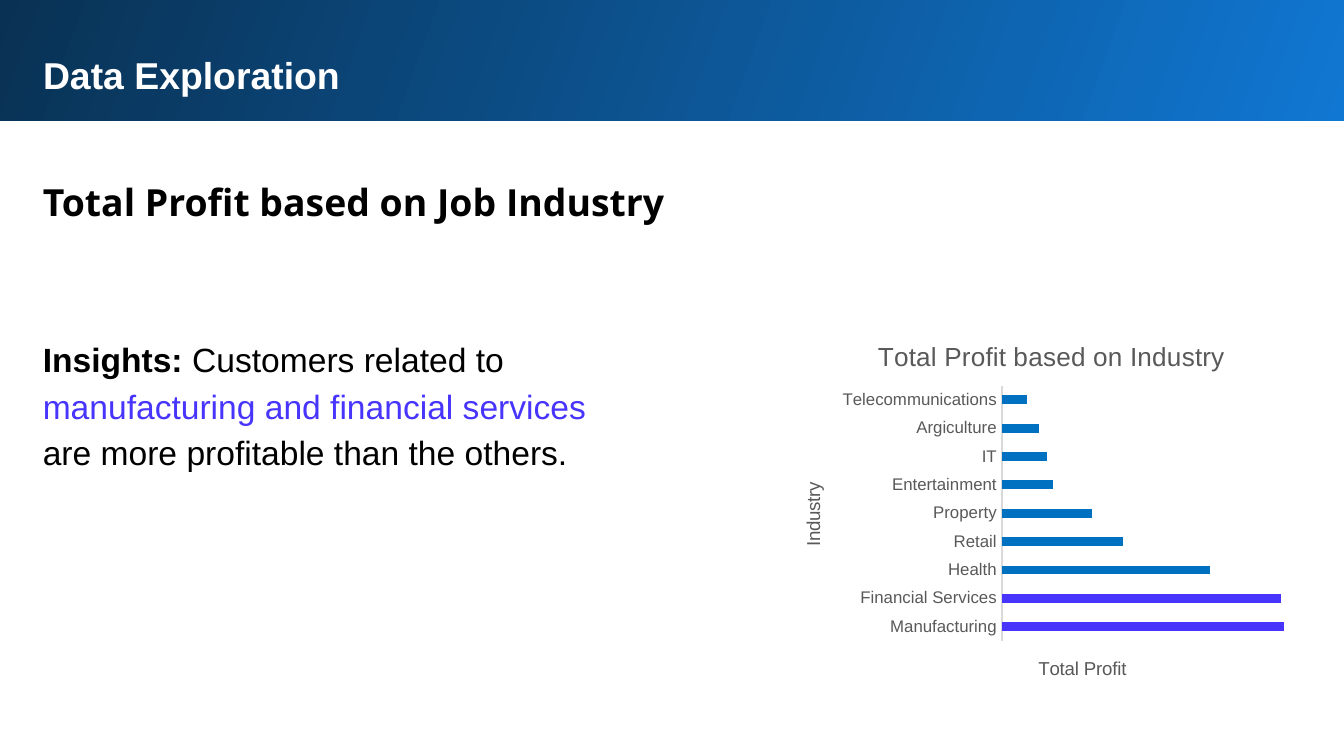
from lxml import etree
from pptx import Presentation
from pptx.chart.data import CategoryChartData
from pptx.dml.color import RGBColor
from pptx.enum.chart import XL_CHART_TYPE as ChartType, XL_TICK_MARK as TickMark
from pptx.enum.shapes import MSO_SHAPE as Shape
from pptx.enum.text import MSO_ANCHOR as Anchor, MSO_AUTO_SIZE as AutoSize, PP_ALIGN as Align
from pptx.oxml.ns import qn
from pptx.util import Inches, Pt

WIDTH = 10
HEIGHT = WIDTH * 9 / 16
LEFT = 0.22
WHITE = RGBColor(0xFF, 0xFF, 0xFF)
BLACK = RGBColor(0, 0, 0)
GREY = RGBColor(0x59, 0x59, 0x59)
AXIS_GREY = RGBColor(0xD9, 0xD9, 0xD9)
BRIGHT_BLUE = RGBColor(0x10, 0x77, 0xD2)
NAVY = RGBColor(0x09, 0x31, 0x53)
BAR_BLUE = RGBColor(0x00, 0x70, 0xC0)
VIOLET = RGBColor(0x48, 0x35, 0xFD)

PROFITS = {
    "Manufacturing": 100, "Financial Services": 99, "Health": 74,
    "Retail": 43, "Property": 32, "Entertainment": 18, "IT": 16,
    "Argiculture": 13, "Telecommunications": 9,
}
HIGHLIGHTS = ("Manufacturing", "Financial Services")


def style_font(font, size, color, name="Arial", bold=False):
    """Set the look of a font."""
    font.size, font.name, font.bold = Pt(size), name, bold
    font.color.rgb = color


def place_chart_part(part, index, inner=False, **shares):
    """Give a chart part a fixed place, in shares of the chart's size."""
    for old_layout in part.findall(qn("c:layout")):
        part.remove(old_layout)
    layout = etree.Element(qn("c:layout"))
    manual = etree.SubElement(layout, qn("c:manualLayout"))
    if inner:
        etree.SubElement(manual, qn("c:layoutTarget")).set("val", "inner")
    for side in "xy":
        etree.SubElement(manual, qn(f"c:{side}Mode")).set("val", "edge")
    for key, share in shares.items():
        etree.SubElement(manual, qn(f"c:{key}")).set("val", str(share))
    part.insert(index, layout)


class ProfitSlide:
    """Holds the slide and the text style, and adds its elements."""

    margin = Inches(0.1)

    def __init__(self, presentation):
        """Add a title-only slide."""
        self.slide = presentation.slides.add_slide(presentation.slide_layouts[5])

    def fill_text(self, shape, runs, size, name="Arial", spacing=1.0):
        """Write one paragraph of (text, color, bold) runs."""
        frame = shape.text_frame
        frame.word_wrap, frame.auto_size = True, AutoSize.NONE
        frame.vertical_anchor = Anchor.TOP
        frame.margin_left = frame.margin_right = self.margin
        frame.margin_top = frame.margin_bottom = self.margin
        paragraph = frame.paragraphs[0]
        paragraph.alignment, paragraph.line_spacing = Align.LEFT, spacing
        for text, color, bold in runs:
            run = paragraph.add_run()
            run.text = text
            style_font(run.font, size, color, name, bold)

    def header(self, text):
        """Add the gradient band with the slide title on it."""
        band = self.slide.shapes.add_shape(
            Shape.RECTANGLE, *map(Inches, (-0.02, -0.02, WIDTH + 0.05, 0.92)))
        band.shadow.inherit = False
        band.line.fill.background()
        band.fill.gradient()
        band.fill.gradient_angle = 160
        for stop, color in zip(band.fill.gradient_stops, (BRIGHT_BLUE, NAVY)):
            stop.color.rgb = color
        title = self.slide.shapes.title
        band.element.addnext(title.element)
        title.left, title.top, title.width, title.height = map(
            Inches, (LEFT, 0.29, 9.37, 0.51))
        self.fill_text(title, [(text, WHITE, True)], 20)

    def text(self, top, width, height, runs, size, name="Arial"):
        """Add a text box at the left margin."""
        box = self.slide.shapes.add_textbox(*map(Inches, (LEFT, top, width, height)))
        self.fill_text(box, runs, size, name, 1.15)

    def chart(self, place, title, category_title, value_title):
        """Add the bar chart of profit by industry."""
        data = CategoryChartData()
        data.categories = list(PROFITS)
        data.add_series("Series 1", list(PROFITS.values()))
        chart = self.slide.shapes.add_chart(
            ChartType.BAR_CLUSTERED, *map(Inches, place), data).chart
        chart.has_legend = False
        style_font(chart.font, 10, BLACK)

        categories, values = chart.category_axis, chart.value_axis
        titles = ((chart.chart_title, title, 14),
                  (categories.axis_title, category_title, 10),
                  (values.axis_title, value_title, 10))
        for item, text, size in titles:
            item.text_frame.text = text
            style_font(item.text_frame.paragraphs[0].font, size, GREY)
        chart.chart_title.include_in_layout = False

        categories.major_tick_mark = categories.minor_tick_mark = TickMark.NONE
        categories.has_major_gridlines = values.has_major_gridlines = False
        style_font(categories.tick_labels.font, 9, GREY)
        categories.format.line.color.rgb = AXIS_GREY
        categories.format.line.width = Pt(0.75)
        values.minimum_scale, values.maximum_scale = 0, 100
        values.tick_labels.number_format = "[$$-409]#,##0.00"
        values.tick_labels.number_format_is_linked = False
        values.visible = False

        plot = chart.plots[0]
        plot.gap_width, plot.vary_by_categories = 219, False
        series = plot.series[0]
        series.format.fill.solid()
        series.format.fill.fore_color.rgb = BAR_BLUE
        for index, industry in enumerate(PROFITS):
            if industry in HIGHLIGHTS:
                fill = series.points[index].format.fill
                fill.solid()
                fill.fore_color.rgb = VIOLET

        plot_area = chart.element.find(".//" + qn("c:plotArea"))
        place_chart_part(plot_area, 0, inner=True, x=0.41, y=0.17, w=0.51, h=0.66)
        for axis, x, y in ((categories, 0.04, 0.41), (values, 0.47, 0.86)):
            place_chart_part(axis.axis_title.element, 1, x=x, y=y)


def main():
    """Build and save the presentation."""
    presentation = Presentation()
    presentation.slide_width, presentation.slide_height = Inches(WIDTH), Inches(HEIGHT)
    page = ProfitSlide(presentation)
    page.header("Data Exploration")
    page.text(1.18, 6.52, 0.56,
              [("Total Profit based on Job Industry", BLACK, True)], 20, "Open Sans")
    page.text(2.38, 4.52, 1.22, [
        ("Insights:", BLACK, True),
        (" Customers related to ", BLACK, False),
        ("manufacturing and financial services", VIOLET, False),
        (" are more profitable than the others.", BLACK, False),
    ], 18)
    page.chart((5.77, 2.38, 4.11, 2.88),
               "Total Profit based on Industry", "Industry", "Total Profit")
    presentation.save("out.pptx")


main()
